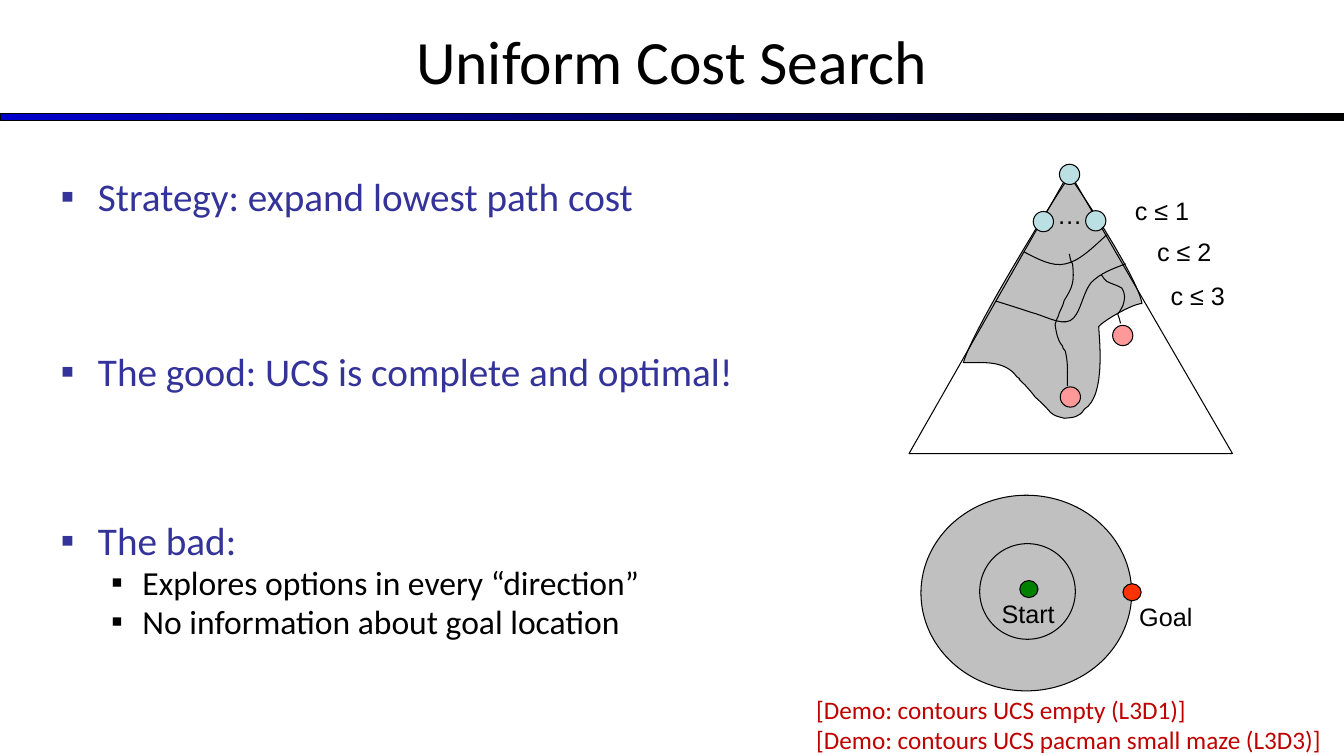
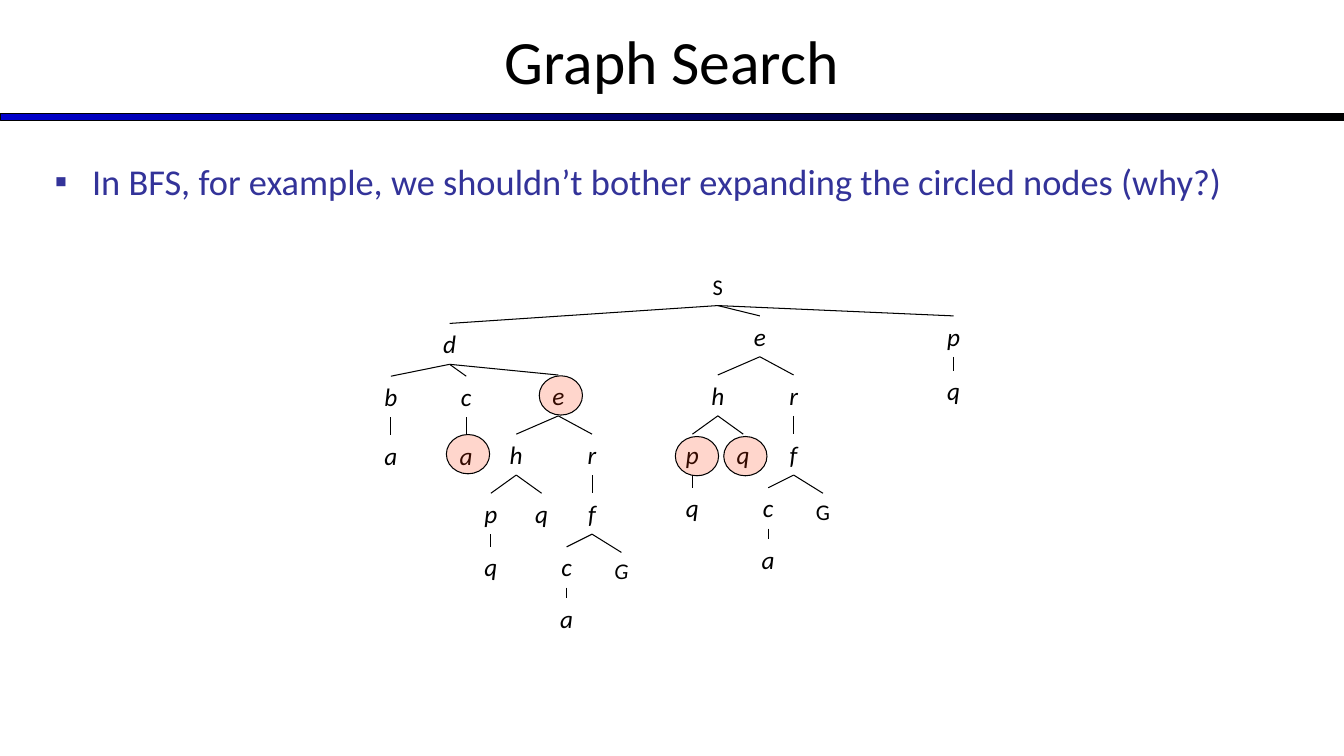
from dataclasses import dataclass

from lxml import etree
from pptx import Presentation
from pptx.dml.color import RGBColor
from pptx.enum.shapes import MSO_CONNECTOR, MSO_SHAPE
from pptx.enum.text import MSO_ANCHOR, PP_ALIGN
from pptx.oxml.ns import qn
from pptx.util import Cm, Pt

ELLIPSE, RECTANGLE = MSO_SHAPE.OVAL, MSO_SHAPE.RECTANGLE
STRAIGHT = MSO_CONNECTOR.STRAIGHT
LEFT, CENTER = PP_ALIGN.LEFT, PP_ALIGN.CENTER
TOP, MIDDLE = MSO_ANCHOR.TOP, MSO_ANCHOR.MIDDLE

BLACK = RGBColor(0x00, 0x00, 0x00)
BAND_BLUE = RGBColor(0x00, 0x00, 0xCC)
BULLET_BLUE = RGBColor(0x33, 0x33, 0x99)
DEMO_RED = RGBColor(0xC0, 0x00, 0x00)
EXPLORED_GREY = RGBColor(0xC0, 0xC0, 0xC0)
NODE_BLUE = RGBColor(0xBB, 0xE0, 0xE3)
GOAL_PINK = RGBColor(0xFF, 0x99, 0x99)
START_GREEN = RGBColor(0x00, 0x80, 0x00)
GOAL_RED = RGBColor(0xFF, 0x33, 0x00)

SLIDE_WIDTH, SLIDE_HEIGHT = 33.87, 19.05
OUTLINE = Pt(0.75)
Point = tuple[float, float]


@dataclass(frozen=True)
class Bullet:
    text: str
    size: float
    level: int = 0
    before: float = 0


@dataclass(frozen=True)
class Dot:
    left: float
    top: float
    width: float
    height: float
    color: RGBColor


@dataclass(frozen=True)
class Label:
    text: str
    left: float
    top: float
    width: float


@dataclass(frozen=True)
class TreeNode:
    """A search state, placed relative to its parent."""
    label: str
    dx: float
    dy: float
    children: tuple["TreeNode", ...] = ()
    italic: bool = True
    size: int = 18
    width: float = 1.07
    height: float = 1.03


# Drawing helpers
def style_shape(shape, color: RGBColor | None) -> None:
    shape.shadow.inherit = False
    if color is None:
        shape.fill.background()
    else:
        shape.fill.solid()
        shape.fill.fore_color.rgb = color
    shape.line.color.rgb = BLACK
    shape.line.width = OUTLINE


def add_outlined(slide, kind, left: float, top: float, width: float,
                 height: float, color: RGBColor | None = None):
    shape = slide.shapes.add_shape(kind, Cm(left), Cm(top), Cm(width), Cm(height))
    style_shape(shape, color)
    return shape


def format_paragraph(paragraph, font: str, size: float, color: RGBColor,
                     italic: bool = False) -> None:
    for run in paragraph.runs:
        run.font.name = font
        run.font.size = Pt(size)
        run.font.color.rgb = color
        run.font.italic = italic


def add_text(slide, text: str, left: float, top: float, width: float, height: float,
             size: float, font: str = "Calibri", color: RGBColor = BLACK,
             align=LEFT, anchor=TOP, italic: bool = False):
    box = slide.shapes.add_textbox(Cm(left), Cm(top), Cm(width), Cm(height))
    frame = box.text_frame
    frame.word_wrap = True
    frame.vertical_anchor = anchor
    frame.text = text
    for paragraph in frame.paragraphs:
        paragraph.alignment = align
        format_paragraph(paragraph, font, size, color, italic)
    return box


def add_bullets(slide, bullets: list[Bullet], left: float, top: float,
                width: float, height: float, line_spacing: float) -> None:
    box = add_text(slide, "\n".join(b.text for b in bullets),
                   left, top, width, height, bullets[0].size)
    for paragraph, bullet in zip(box.text_frame.paragraphs, bullets):
        color = BLACK if bullet.level else BULLET_BLUE
        indent, hanging = (2.06, 0.79) if bullet.level else (0.94, 0.94)
        format_paragraph(paragraph, "Calibri", bullet.size, color)
        paragraph.level = bullet.level
        paragraph.line_spacing = line_spacing
        paragraph.space_before = Pt(bullet.before)
        properties = paragraph._p.get_or_add_pPr()
        properties.set("marL", str(Cm(indent)))
        properties.set("indent", str(-Cm(hanging)))
        bullet_color = etree.SubElement(properties, qn("a:buClr"))
        etree.SubElement(bullet_color, qn("a:srgbClr"), val=str(color))
        etree.SubElement(properties, qn("a:buFont"), typeface="Arial")
        etree.SubElement(properties, qn("a:buChar"), char="▪")


def add_outline(slide, points: list[Point], color: RGBColor | None = None,
                close: bool = False):
    corners = [(Cm(x), Cm(y)) for x, y in points]
    builder = slide.shapes.build_freeform(*corners[0])
    builder.add_line_segments(corners[1:], close=close)
    shape = builder.convert_to_shape()
    style_shape(shape, color)
    return shape


def add_curve(slide, controls: list[Point], color: RGBColor | None = None) -> None:
    """Draw chained cubic Bézier segments: two controls, then an end point."""
    shape = add_outline(slide, controls, color, close=color is not None)
    steps = list(shape._element.spPr.iter(qn("a:lnTo")))
    for first, second, end in zip(steps[::3], steps[1::3], steps[2::3]):
        first.tag = qn("a:cubicBezTo")
        for step in (second, end):
            first.append(step[0])
            step.getparent().remove(step)


def add_titled_slide(deck, title: str):
    slide = deck.slides.add_slide(deck.slide_layouts[6])
    band = add_outlined(slide, RECTANGLE, 0.01, 2.87, SLIDE_WIDTH, 0.18, BAND_BLUE)
    band.fill.gradient()
    band.fill.gradient_angle = 0
    for stop, color in zip(band.fill.gradient_stops, (BAND_BLUE, BLACK)):
        stop.color.rgb = color
    add_text(slide, title, 0, -0.08, SLIDE_WIDTH, 3.18, 44, align=CENTER, anchor=MIDDLE)
    return slide


# Uniform cost search content
STRATEGY = [
    Bullet("Strategy: expand lowest path cost", 28),
    Bullet("The good: UCS is complete and optimal!", 28, before=98),
    Bullet("The bad:", 28, before=94),
    Bullet("Explores options in every “direction”", 24, 1, 4.8),
    Bullet("No information about goal location", 24, 1, 4.8),
]
TREE_OUTLINE = [(22.91, 11.43), (31.06, 11.43), (26.95, 4.34)]
EXPLORED_REGION = [
    (27.1, 4.65), (27.43, 5.13), (28.68, 7.04), (28.78, 7.65),
    (28.55, 7.65), (27.81, 8.08), (27.69, 8.23),
    (27.69, 8.43), (27.89, 9.98), (27.33, 10.31),
    (27.2, 10.52), (27.05, 10.52), (26.82, 10.54),
    (26.64, 10.49), (26.59, 10.49), (26.47, 10.39),
    (26.39, 10.29), (26.21, 10.11), (26.09, 10.01),
    (25.93, 9.8), (26.01, 9.91), (25.83, 9.7),
    (25.5, 9.4), (25.83, 9.63), (25.63, 9.5),
    (25.32, 9.07), (24.79, 9.14), (24.28, 9.14),
    (24.49, 8.36), (26.31, 5.41), (26.8, 4.67),
    (27.25, 3.94), (27.03, 4.65), (27.1, 4.65),
]
DEEP_ROUTE = [
    (26.95, 6.4), (26.97, 6.48), (26.97, 6.58), (27.03, 6.65),
    (27.08, 7.11), (27.03, 7.24), (26.82, 7.57),
    (26.8, 7.67), (26.75, 7.77), (26.7, 7.87),
    (26.64, 8.05), (26.7, 7.9), (26.64, 8.03),
    (26.62, 8.08), (26.59, 8.18), (26.59, 8.18),
    (26.62, 8.36), (26.64, 8.56), (26.77, 8.71),
    (26.8, 8.74), (26.8, 8.76), (26.8, 8.79),
    (26.82, 8.81), (26.85, 8.84), (26.85, 8.86),
    (26.92, 9.14), (26.9, 9.4), (26.9, 9.73),
]
SHALLOW_ROUTE = [
    (27.76, 6.93), (27.79, 6.99), (27.84, 7.04), (27.89, 7.09),
    (28.02, 7.16), (28.17, 7.19), (28.27, 7.26),
    (28.37, 7.42), (28.35, 7.54), (28.3, 7.7),
    (28.27, 7.77), (28.17, 7.92), (28.17, 7.92),
    (28.19, 8), (28.24, 8.08), (28.24, 8.15),
]
COST_2_CONTOUR = [
    (28.37, 6.65), (28.07, 6.76), (27.74, 6.88), (27.51, 7.11),
    (27.28, 7.37), (27.23, 7.95), (26.97, 8.08),
    (26.72, 8.2), (26.31, 7.95), (25.98, 7.87),
    (25.68, 7.77), (25.37, 7.67), (25.1, 7.59),
]
COST_1_CONTOUR = [
    (27.89, 5.92), (27.53, 6.25), (27.2, 6.58), (26.85, 6.65),
    (26.52, 6.73), (26.16, 6.53), (25.81, 6.35),
]
DOTS = [
    Dot(26.7, 4.14, 0.51, 0.51, NODE_BLUE),
    Dot(26.04, 5.33, 0.51, 0.51, NODE_BLUE),
    Dot(27.36, 5.31, 0.51, 0.51, NODE_BLUE),
    Dot(28.04, 8.2, 0.51, 0.51, GOAL_PINK),
    Dot(26.72, 9.75, 0.51, 0.51, GOAL_PINK),
    Dot(25.7, 14.63, 0.46, 0.43, START_GREEN),
    Dot(28.3, 14.71, 0.46, 0.43, GOAL_RED),
]
LABELS = [
    Label("…", 26.39, 4.9, 0.76),
    Label("c ≤ 1", 28.35, 4.79, 2.29),
    Label("c ≤ 2", 28.91, 5.84, 2.29),
    Label("c ≤ 3", 29.25, 6.93, 2.29),
    Label("Start", 24.99, 14.96, 2.54),
    Label("Goal", 28.46, 15.04, 2.54),
]
DEMOS = "[Demo: contours UCS empty (L3D1)]\n[Demo: contours UCS pacman small maze (L3D3)]"


def build_uniform_cost(deck) -> None:
    slide = add_titled_slide(deck, "Uniform Cost Search")
    add_bullets(slide, STRATEGY, 1.28, 4.45, 19.89, 12.57, 0.8)
    # Explored part of the tree and its cost contours
    add_curve(slide, EXPLORED_REGION, EXPLORED_GREY)
    add_outline(slide, TREE_OUTLINE, close=True)
    for curve in (DEEP_ROUTE, SHALLOW_ROUTE, COST_2_CONTOUR, COST_1_CONTOUR):
        add_curve(slide, curve)
    # Contours around the start
    add_outlined(slide, ELLIPSE, 23.21, 12.48, 5.31, 4.93, EXPLORED_GREY)
    add_outlined(slide, ELLIPSE, 24.69, 13.7, 2.41, 2.41)
    for dot in DOTS:
        add_outlined(slide, ELLIPSE, dot.left, dot.top, dot.width, dot.height, dot.color)
    for label in LABELS:
        add_text(slide, label.text, label.left, label.top, label.width, 1.02, 18, "Arial")
    add_text(slide, DEMOS, 20.32, 17.36, 13.46, 1.8, 18, color=DEMO_RED)


# Graph search content
def e_branch(dx: float, dy: float, goal_italic: bool) -> TreeNode:
    """The subtree below e, which the search meets twice."""
    goal = TreeNode("G", 0.74, 1.49, (), goal_italic, 16, 2.11, 0.94)
    c = TreeNode("c", -0.64, 1.35, (TreeNode("a", 0, 1.29),))
    p = TreeNode("p", -0.64, 1.49, (TreeNode("q", 0, 1.35),))
    f = TreeNode("f", 0, 1.49, (c, goal))
    return TreeNode("e", dx, dy, (
        TreeNode("h", -1.06, 1.49, (p, TreeNode("q", 0.64, 1.49))),
        TreeNode("r", 0.85, 1.49, (f,))))


SEARCH_TREE = TreeNode("S", 18.09, 6.76, (
    TreeNode("d", -6.76, 1.39, (
        TreeNode("b", -1.48, 1.33, (TreeNode("a", 0, 1.49),)),
        TreeNode("c", 0.42, 1.33, (TreeNode("a", 0, 1.49),)),
        e_branch(2.74, 1.3, True))),
    e_branch(1.06, 1.2, False),
    TreeNode("p", 5.94, 1.2, (TreeNode("q", 0, 1.38),)),
), False, 16, 2.74, 0.94)
CIRCLE_CORNERS = [(13.59, 9.47), (17.02, 11), (11.25, 10.95), (18.24, 11)]


def draw_tree(slide, node: TreeNode, origin: Point = (0, 0), parent=None) -> None:
    x, y = origin[0] + node.dx, origin[1] + node.dy
    box = add_text(slide, node.label, x - node.width / 2, y, node.width, node.height,
                   node.size, align=CENTER, italic=node.italic)
    if parent is not None:
        edge = slide.shapes.add_connector(STRAIGHT, 0, 0, 0, 0)
        edge.begin_connect(parent, 2)
        edge.end_connect(box, 0)
        edge.line.color.rgb = BLACK
        edge.line.width = OUTLINE
        etree.SubElement(edge._element.spPr, qn("a:effectLst"))
    for child in node.children:
        draw_tree(slide, child, (x, y), box)


def build_graph_search(deck) -> None:
    slide = add_titled_slide(deck, "Graph Search")
    question = Bullet("In BFS, for example, we shouldn’t bother expanding "
                      "the circled nodes (why?)", 26)
    add_bullets(slide, [question], 1.13, 3.89, 31.6, 13.13, 1.0)
    draw_tree(slide, SEARCH_TREE)
    # Circles on the repeated states
    for left, top in CIRCLE_CORNERS:
        circle = add_outlined(slide, ELLIPSE, left, top, 1.09, 0.99, GOAL_RED)
        tint = circle._element.spPr.find(qn("a:solidFill"))[0]
        etree.SubElement(tint, qn("a:alpha"), val="20000")


def main() -> None:
    deck = Presentation()
    deck.slide_width, deck.slide_height = Cm(SLIDE_WIDTH), Cm(SLIDE_HEIGHT)
    build_uniform_cost(deck)
    build_graph_search(deck)
    deck.save("out.pptx")


if __name__ == "__main__":
    main()
